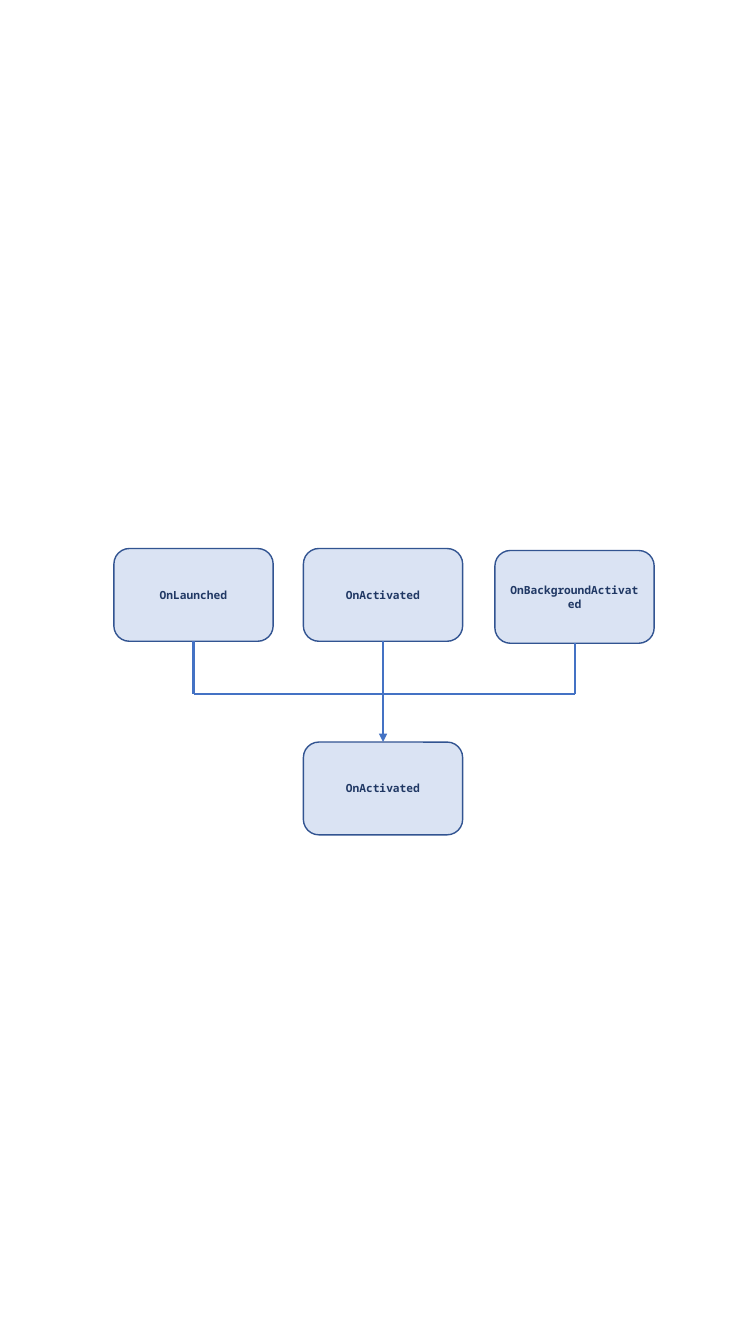
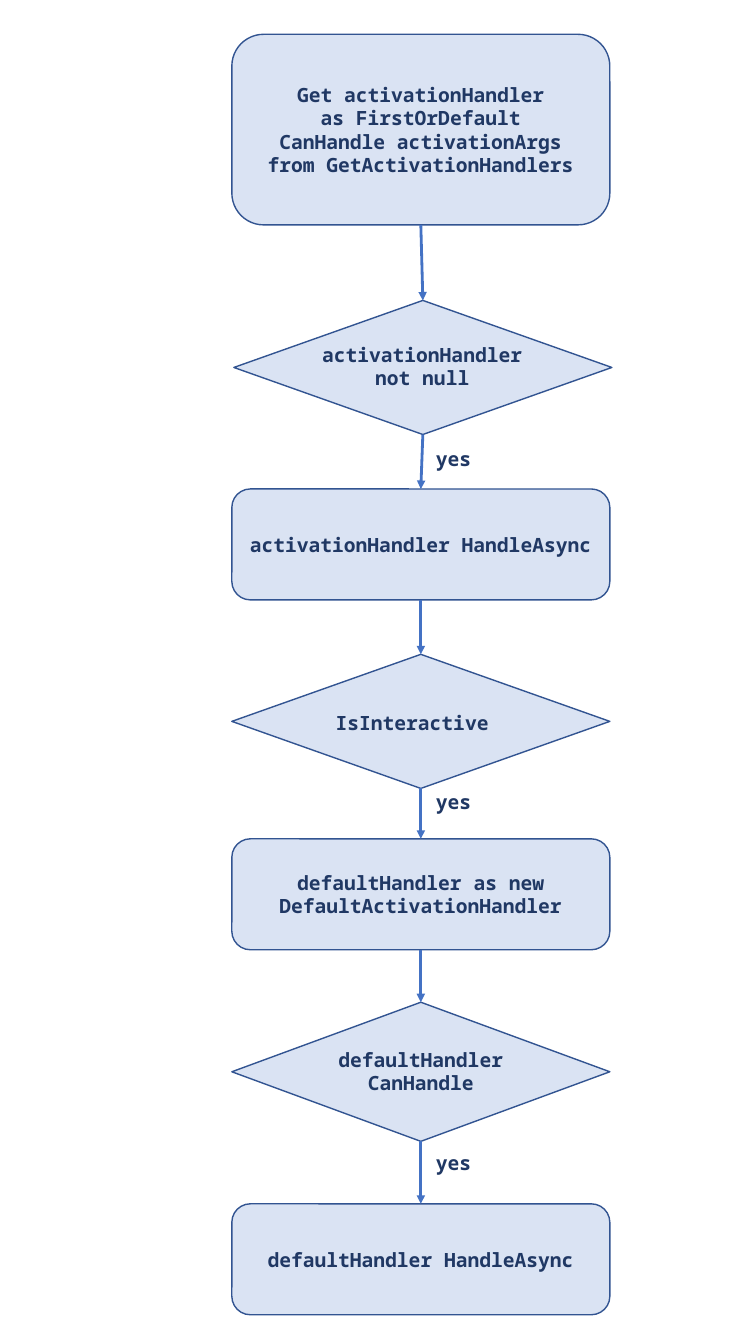
from itertools import pairwise

from lxml import etree
from pptx import Presentation
from pptx.dml.color import RGBColor
from pptx.enum import shapes, text
from pptx.oxml.ns import qn
from pptx.util import Inches, Pt

COLORS = {"fill": "DAE3F3", "outline": "325491", "arrow": "4472C4", "text": "203864"}
RGB = {name: RGBColor.from_string(value) for name, value in COLORS.items()}
ROUND = shapes.MSO_SHAPE.ROUNDED_RECTANGLE
DIAMOND = shapes.MSO_SHAPE.DIAMOND


def add_box(s, box, words, size, kind=None):
    """Add a filled shape of the given kind, or a plain text box without one."""
    area = [Inches(v) for v in box]
    if kind is None:
        sp = s.shapes.add_textbox(*area)
    else:
        sp = s.shapes.add_shape(kind, *area)
        sp.shadow.inherit = False
        sp.fill.solid()
        sp.fill.fore_color.rgb = RGB["fill"]
        sp.line.color.rgb = RGB["outline"]
        sp.line.width = Pt(1)
    tf = sp.text_frame
    tf.word_wrap = True
    if kind is None:
        tf.auto_size = text.MSO_AUTO_SIZE.SHAPE_TO_FIT_TEXT
    else:
        tf.vertical_anchor = text.MSO_ANCHOR.MIDDLE
    tf.text = words
    font_format = {"name": "Noto Sans Mono", "size": Pt(size), "bold": True}
    for p in tf.paragraphs:
        p.alignment = text.PP_ALIGN.CENTER
        for r in p.runs:
            for key, value in font_format.items():
                setattr(r.font, key, value)
            r.font.color.rgb = RGB["text"]
    return sp


def add_link(s, start, end, width, arrow=True):
    c = s.shapes.add_connector(shapes.MSO_CONNECTOR.STRAIGHT,
                               *[Inches(v) for v in (*start, *end)])
    c.line.color.rgb = RGB["arrow"]
    c.line.width = Pt(width)
    if arrow:
        etree.SubElement(c.line._get_or_add_ln(), qn("a:tailEnd"), type="triangle")
    etree.SubElement(c._element.spPr, qn("a:effectLst"))
    return c


prs = Presentation()
prs.slide_width, prs.slide_height = Inches(7.5), Inches(13.33)
blank = prs.slide_layouts[6]

# Slide 1: three entry points lead to one method
s = prs.slides.add_slide(blank)
box_w, box_h, bus_y = 1.58, 0.92, 6.88
target_x, target_y = 3.01, 7.36
target = add_box(s, (target_x, target_y, box_w, box_h), "OnActivated", 8, ROUND)
entries = [
    ("OnLaunched", 1.13, 5.44),
    ("OnActivated", target_x, 5.44),
    ("OnBackgroundActivated", 4.91, 5.46),
]
for name, x, y in entries:
    entry = add_box(s, (x, y, box_w, box_h), name, 8, ROUND)
    center = x + box_w / 2
    above_target = x == target_x
    end_y = target_y if above_target else bus_y
    c = add_link(s, (center, y + box_h), (center, end_y), 1.5, above_target)
    c.begin_connect(entry, 2)
    if above_target:
        c.end_connect(target, 0)
bus_left, bus_right = (entries[i][1] + box_w / 2 for i in (0, -1))
add_link(s, (bus_right, bus_y), (bus_left, bus_y), 1.5, False)

# Slide 2: flow of steps and decisions
s = prs.slides.add_slide(blank)
step_x, step_w = 2.3, 3.75
steps = [
    (ROUND, step_x, 0.34, 1.89, "Get activationHandler\nas FirstOrDefault\n"
     "CanHandle activationArgs\nfrom GetActivationHandlers"),
    (DIAMOND, 2.32, 2.98, 1.33, ""),
    (ROUND, step_x, 4.85, 1.1, "activationHandler HandleAsync"),
    (DIAMOND, step_x, 6.49, 1.33, ""),
    (ROUND, step_x, 8.32, 1.1, "defaultHandler as new\nDefaultActivationHandler"),
    (DIAMOND, step_x, 9.94, 1.38, ""),
    (ROUND, step_x, 11.94, 1.1, "defaultHandler HandleAsync"),
]
nodes = []
for kind, x, y, h, words in steps:
    sp = add_box(s, (x, y, step_w, h), words, 14, kind)
    nodes.append((sp, x + step_w / 2, y, y + h))
for (upper, x1, _, bottom), (lower, x2, top, _) in pairwise(nodes):
    c = add_link(s, (x1, bottom), (x2, top), 2)
    c.begin_connect(upper, 2)
    c.end_connect(lower, 0)

decisions = [
    ("activationHandler\nnot null", 2.51, 3.35, 3.36, 0.57),
    ("IsInteractive", 2.41, 7, 3.36, 0.34),
    ("defaultHandler CanHandle", 2.88, 10.34, 2.59, 0.57),
]
for words, *box in decisions:
    add_box(s, box, words, 14)
for y in (4.38, 7.79, 11.37):
    add_box(s, (4.17, y, 0.66, 0.34), "yes", 14)

prs.save("out.pptx")
